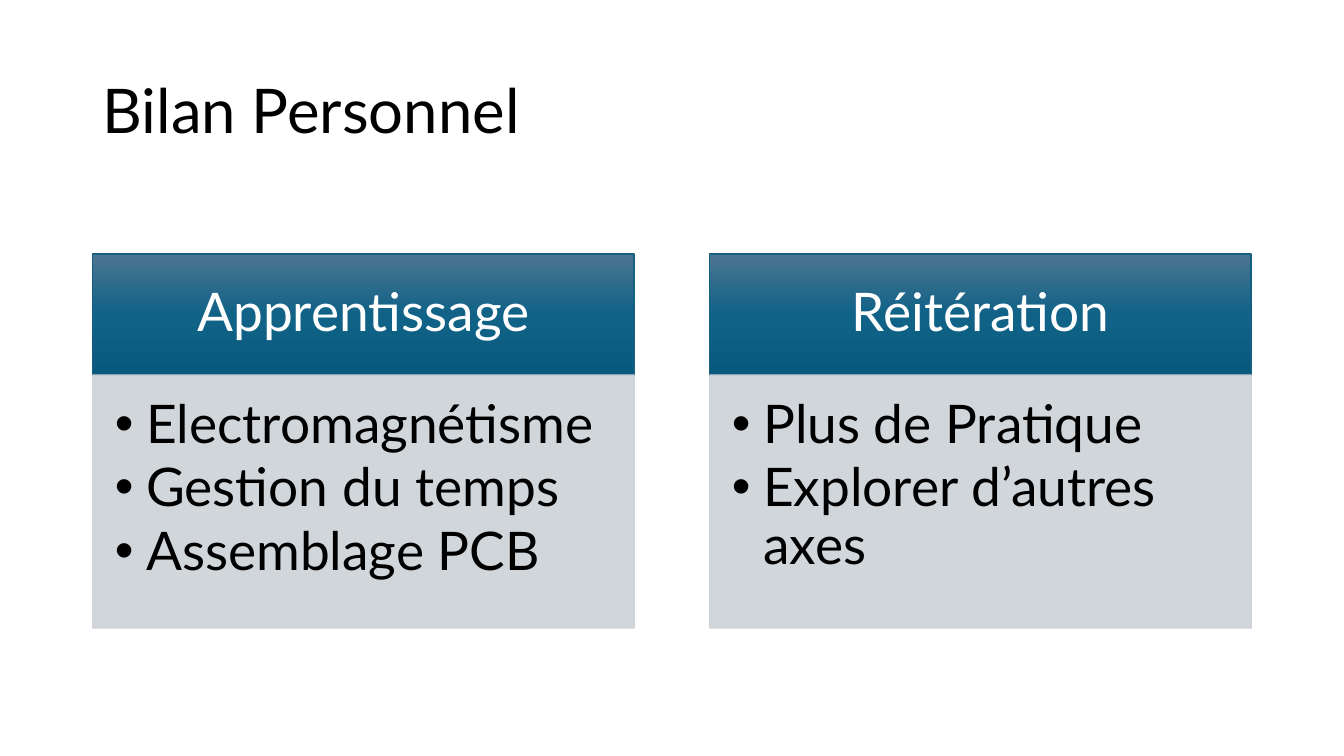
from lxml.etree import SubElement
from pptx import Presentation
from pptx.dml.color import RGBColor as RGB
from pptx.enum.shapes import MSO_SHAPE as Shape
from pptx.enum.text import MSO_ANCHOR as Anchor, PP_ALIGN as Align
from pptx.oxml import parse_xml
from pptx.oxml.ns import nsdecls, qn
from pptx.util import Inches, Pt

# Content
TITLE = "Bilan Personnel"
CARDS = [
    ("Apprentissage", ["Electromagnétisme", "Gestion du temps", "Assemblage PCB"]),
    ("Réitération", ["Plus de Pratique", "Explorer d’autres axes"]),
]

# Theme and layout, in inches and points
THEME = {
    "font": "Lato", "title": 44, "text": 38,
    "dark": "000000", "light": "FFFFFF",
    "edge": "156082", "panel": "CCD2D8", "alpha": 90,
    "blend": [(0, "4C7591"), (50, "106287"), (100, "09597D")],
}
LEFT, TOP, WIDTH, GAP = 0.92, 2.52, 5.37, 0.75
HEAD, BODY = 1.2, 2.51
INDENT = 0.31


def set_frame(shape, pads, anchor):
    frame = shape.text_frame
    frame.word_wrap = True
    frame.vertical_anchor = anchor
    (frame.margin_left, frame.margin_top,
     frame.margin_right, frame.margin_bottom) = map(Inches, pads)
    return frame


def add_text(para, text, size, color, align=Align.LEFT):
    para.alignment = align
    para.line_spacing = 0.9
    run = para.add_run()
    run.text = text
    run.font.name = THEME["font"]
    run.font.size = Pt(size)
    run.font.color.rgb = RGB.from_string(color)


def add_bullet(para):
    para.space_after = Pt(4.3)
    props = para._p.get_or_add_pPr()
    props.set("marL", str(Inches(INDENT)))
    props.set("indent", str(-Inches(INDENT)))
    SubElement(props, qn("a:buFont"), typeface="Arial")
    SubElement(props, qn("a:buChar"), char="•")


def add_box(slide, left, top, height, edge):
    box = slide.shapes.add_shape(
        Shape.RECTANGLE, *map(Inches, (left, top, WIDTH, height)))
    box.shadow.inherit = False
    box.line.color.rgb = RGB.from_string(edge)
    box.line.width = Pt(1)
    return box


def blend_fill(box):
    stops = "".join(
        f'<a:gs pos="{pos * 1000}"><a:srgbClr val="{color}"/></a:gs>'
        for pos, color in THEME["blend"])
    grad = parse_xml(
        f'<a:gradFill {nsdecls("a")} rotWithShape="1"><a:gsLst>{stops}</a:gsLst>'
        '<a:lin ang="5400000" scaled="0"/></a:gradFill>')
    box._element.spPr.find(qn("a:prstGeom")).addnext(grad)


def panel_fill(box):
    box.fill.solid()
    box.fill.fore_color.rgb = RGB.from_string(THEME["panel"])
    for color in box._element.spPr.iter(qn("a:srgbClr")):
        SubElement(color, qn("a:alpha"), val=str(THEME["alpha"] * 1000))


def add_card(slide, left, name, items):
    # Heading band
    head = add_box(slide, left, TOP, HEAD, THEME["edge"])
    blend_fill(head)
    frame = set_frame(head, (0.3, 0.17, 0.3, 0.17), Anchor.MIDDLE)
    add_text(frame.paragraphs[0], name, THEME["text"], THEME["light"], Align.CENTER)

    # Bullet panel
    body = add_box(slide, left, TOP + HEAD, BODY, THEME["panel"])
    panel_fill(body)
    frame = set_frame(body, (0.22, 0.22, 0.3, 0.33), Anchor.TOP)
    for i, item in enumerate(items):
        para = frame.add_paragraph() if i else frame.paragraphs[0]
        add_text(para, item, THEME["text"], THEME["dark"])
        add_bullet(para)


def main():
    deck = Presentation()
    deck.slide_width, deck.slide_height = Inches(13.33), Inches(7.5)
    slide = deck.slides.add_slide(deck.slide_layouts[6])

    # Title
    title = slide.shapes.add_textbox(*map(Inches, (LEFT, 0.4, 11.5, 1.45)))
    frame = set_frame(title, (0.1, 0.05, 0.1, 0.05), Anchor.MIDDLE)
    add_text(frame.paragraphs[0], TITLE, THEME["title"], THEME["dark"])

    # Cards
    for i, (name, items) in enumerate(CARDS):
        add_card(slide, LEFT + i * (WIDTH + GAP), name, items)

    deck.save("out.pptx")


if __name__ == "__main__":
    main()
